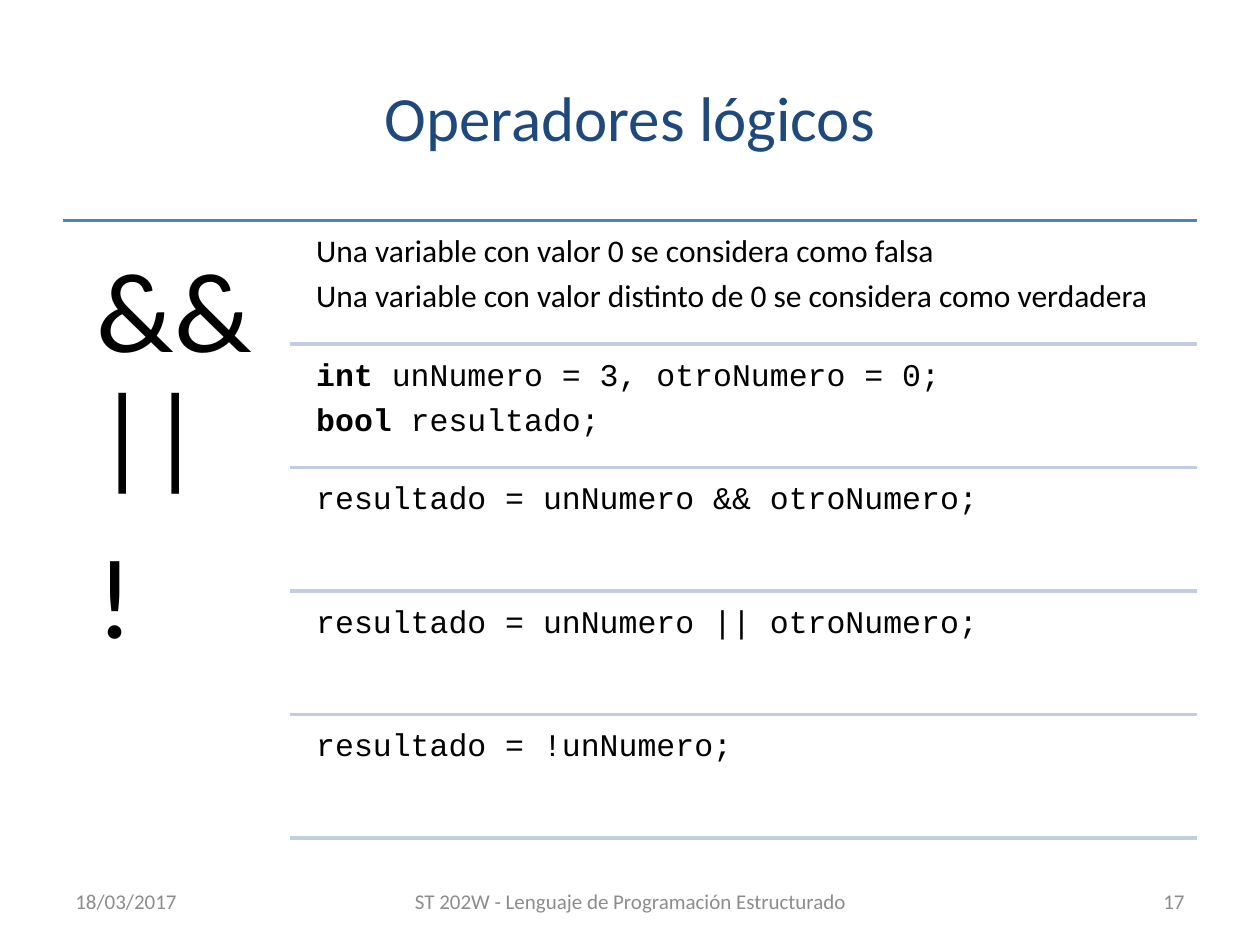
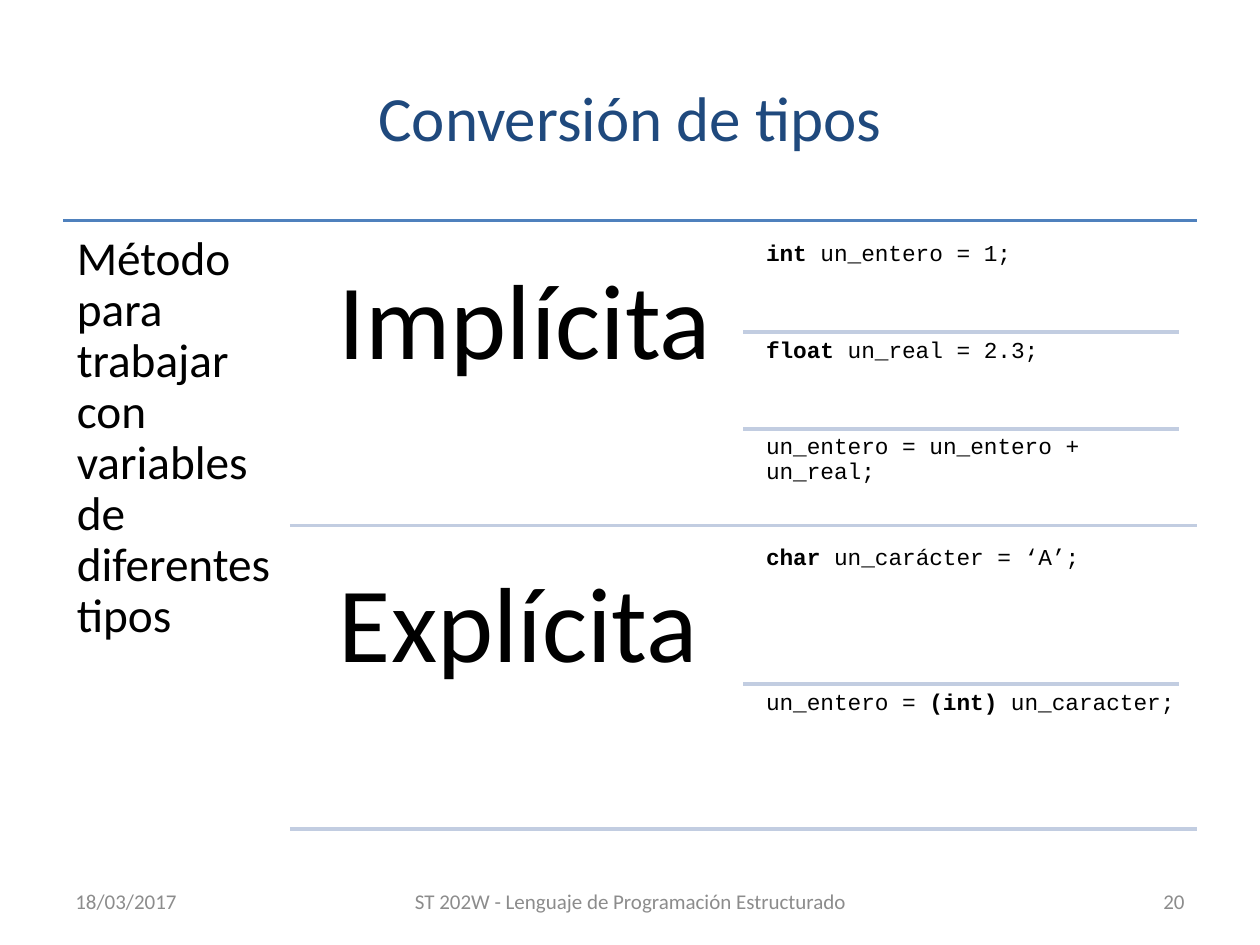
from lxml import etree
from pptx import Presentation
from pptx.dml.color import RGBColor
from pptx.enum.shapes import MSO_CONNECTOR
from pptx.enum.text import MSO_ANCHOR, PP_ALIGN
from pptx.oxml.ns import qn
from pptx.util import Inches, Pt

STRAIGHT = MSO_CONNECTOR.STRAIGHT
TOP, MIDDLE = MSO_ANCHOR.TOP, MSO_ANCHOR.MIDDLE
LEFT, CENTER, RIGHT = PP_ALIGN.LEFT, PP_ALIGN.CENTER, PP_ALIGN.RIGHT

COLORS = {"title": "1F497D", "rule": "4F81BD", "divider": "C2CDE1",
          "text": "000000", "footer": "8C8C8C"}
BODY_FONT, CODE_FONT = "Calibri", "Courier New"

BODY_LEFT, BODY_RIGHT, BODY_TOP = 0.5, 9.5, 1.75
DIVIDER_LEFT = 2.3
CONTENT_LEFT = 2.44


def add_text(slide, box, lines, size, font=BODY_FONT, inset=None, color="text",
             align=LEFT, anchor=TOP):
    """Add a text box; parts of a line between asterisks are bold.

    With an inset, the lines get the tight spacing of the body text.
    """
    shape = slide.shapes.add_textbox(*map(Inches, box))
    frame = shape.text_frame
    frame.word_wrap = True
    frame.vertical_anchor = anchor
    if inset is not None:
        frame.margin_left = frame.margin_right = Inches(inset)
        frame.margin_top = frame.margin_bottom = Inches(inset)
    for index, line in enumerate(lines):
        paragraph = frame.add_paragraph() if index else frame.paragraphs[0]
        paragraph.alignment = align
        paragraph.font.name = font
        paragraph.font.size = Pt(size)
        paragraph.font.color.rgb = RGBColor.from_string(COLORS[color])
        if inset is not None:
            paragraph.line_spacing = 0.9
            paragraph.space_after = Pt(0.35 * size)
        for part_index, part in enumerate(line.split("*")):
            if part:
                run = paragraph.add_run()
                run.text = part
                if part_index % 2:
                    run.font.bold = True


def add_rule(slide, left, right, y, color="divider"):
    connector = slide.shapes.add_connector(
        STRAIGHT, Inches(left), Inches(y), Inches(right), Inches(y))
    connector.line.color.rgb = RGBColor.from_string(COLORS[color])
    connector.line.width = Pt(2)
    etree.SubElement(connector._element.spPr, qn("a:effectLst"))


presentation = Presentation()
presentation.slide_width = Inches(10)
presentation.slide_height = Inches(7.5)
title_only = presentation.slide_layouts[5]

# Shared frame: title, top rule, left column and footer
frames = [
    ("Operadores lógicos", "17", ["&& ||", "!"], 65, 0.27),
    ("Conversión de tipos", "20",
     ["Método para trabajar con variables de diferentes tipos"], 27, 0.11),
]
slides = []
for title_text, number, side_lines, side_size, side_inset in frames:
    slide = presentation.slides.add_slide(title_only)
    slides.append(slide)

    title = slide.shapes.title
    title.left, title.top = Inches(0.5), Inches(0.3)
    title.width, title.height = Inches(9), Inches(1.25)
    title.text_frame.text = title_text
    title.text_frame.vertical_anchor = MIDDLE
    paragraph = title.text_frame.paragraphs[0]
    paragraph.alignment = CENTER
    paragraph.font.name = BODY_FONT
    paragraph.font.size = Pt(36)
    paragraph.font.color.rgb = RGBColor.from_string(COLORS["title"])

    add_rule(slide, BODY_LEFT, BODY_RIGHT, BODY_TOP, "rule")
    add_text(slide, (BODY_LEFT, BODY_TOP, 1.8, 4.95), side_lines, side_size,
             inset=side_inset)

    footers = [
        (0.5, 2.33, "18/03/2017", LEFT),
        (3.17, 3.67, "ST 202W - Lenguaje de Programación Estructurado", CENTER),
        (7.17, 2.33, number, RIGHT),
    ]
    for left, width, text, align in footers:
        add_text(slide, (left, 6.95, width, 0.4), [text], 12, color="footer",
                 align=align, anchor=MIDDLE)

operators_slide, conversion_slide = slides

# Logical operators: five equal rows, each closed by a divider
operator_rows = [
    (BODY_FONT, ["Una variable con valor 0 se considera como falsa",
                 "Una variable con valor distinto de 0 se considera como verdadera"]),
    (CODE_FONT, ["*int *unNumero = 3, otroNumero = 0;", "*bool *resultado;"]),
    (CODE_FONT, ["resultado = unNumero && otroNumero;"]),
    (CODE_FONT, ["resultado = unNumero || otroNumero;"]),
    (CODE_FONT, ["resultado = !unNumero;"]),
]
row_height, row_pitch = 0.93, 0.98
for index, (font, lines) in enumerate(operator_rows):
    top = 1.8 + index * row_pitch
    add_text(operators_slide, (CONTENT_LEFT, top, 7.06, row_height), lines, 18,
             font, inset=0.07)
    add_rule(operators_slide, DIVIDER_LEFT, BODY_RIGHT, top + row_height)

# Type conversion: two groups, the code rows share each group's height
conversions = [
    ("Implícita", ["*int *un_entero = 1;", "*float *un_real = 2.3;",
                   "un_entero = un_entero + un_real;"]),
    ("Explícita", ["*char *un_carácter = ‘A’;",
                   "un_entero = *(int) *un_caracter;"]),
]
group_height, group_pitch, column_width = 2.3, 2.41, 3.46
for index, (name, code_lines) in enumerate(conversions):
    top = 1.87 + index * group_pitch
    add_text(conversion_slide, (CONTENT_LEFT, top, column_width, group_height),
             [name], 61, inset=0.25)
    code_height = group_height / len(code_lines)
    for code_index, code in enumerate(code_lines):
        code_top = top + code_index * code_height
        if code_index:
            add_rule(conversion_slide, 5.9, 5.9 + column_width, code_top)
        add_text(conversion_slide, (6.03, code_top, column_width, code_height),
                 [code], 13, CODE_FONT, inset=0.05)
    add_rule(conversion_slide, DIVIDER_LEFT, BODY_RIGHT, top + group_height)

presentation.save("out.pptx")
